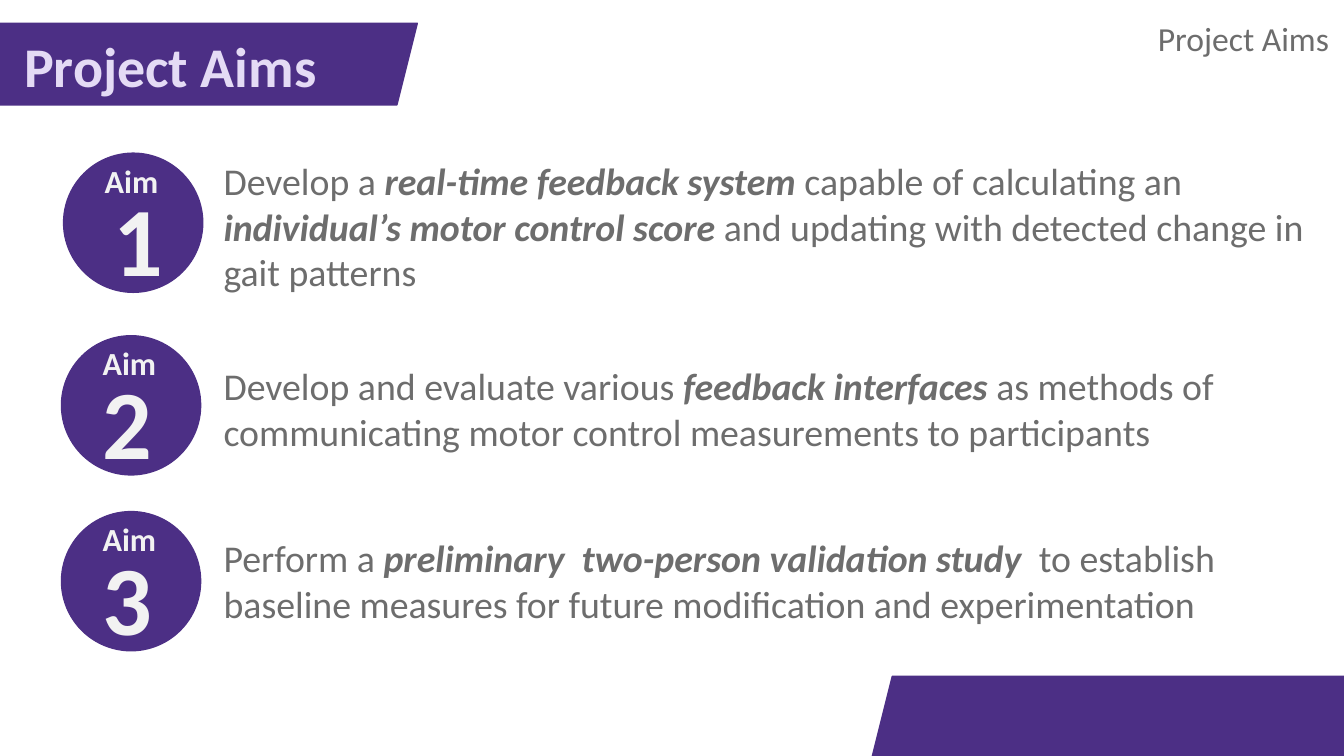
from pptx import Presentation
from pptx.dml.color import RGBColor
from pptx.enum.shapes import MSO_SHAPE
from pptx.enum.text import MSO_ANCHOR, MSO_AUTO_SIZE, PP_ALIGN
from pptx.util import Pt

PURPLE, LILAC, GREY, WHITE = "4C2F85", "E4DBF5", "6D6D6D", "F2F2F2"


def write(sp, text, size, color, bold=False):
    tf = sp.text_frame
    tf.word_wrap = True
    tf.auto_size = MSO_AUTO_SIZE.NONE
    tf.vertical_anchor = MSO_ANCHOR.TOP
    p = tf.paragraphs[0]
    p.alignment = PP_ALIGN.LEFT
    for i, part in enumerate(text.split("*")):
        r = p.add_run()
        r.text = part
        r.font.name = "Calibri"
        r.font.size = Pt(size)
        r.font.bold = bold or i % 2 == 1
        r.font.italic = i % 2 == 1
        r.font.color.rgb = RGBColor.from_string(color)


def solid(shapes, kind, x, y, w, h):
    sp = shapes.add_shape(kind, Pt(x), Pt(y), Pt(w), Pt(h))
    sp.shadow.inherit = False
    sp.fill.solid()
    sp.fill.fore_color.rgb = RGBColor.from_string(PURPLE)
    sp.line.color.rgb = RGBColor.from_string(PURPLE)
    sp.line.width = Pt(1)
    return sp


prs = Presentation()
prs.slide_width, prs.slide_height = Pt(960), Pt(540)
s = prs.slides.add_slide(prs.slide_layouts[5])

title = s.shapes.title
title.left, title.top, title.width, title.height = Pt(10), Pt(18.7), Pt(425.5), Pt(55.5)
write(title, "Project Aims", 40, LILAC, bold=True)
title_bar = solid(s.shapes, MSO_SHAPE.PARALLELOGRAM, -29.5, 16.6, 327.6, 58.3)
title.element.addprevious(title_bar.element)

solid(s.shapes, MSO_SHAPE.PARALLELOGRAM, 622.8, 483.1, 352.8, 58.3)
header = s.shapes.add_textbox(Pt(820), Pt(9.4), Pt(139.7), Pt(36))
write(header, "Project Aims", 24, GREY)

# text top, circle left, circle top, digit left, label left
aims = [
    (109.4, 45.4, 109.4, 74.2, 67.7,
     "Develop a *real-time feedback system *capable of calculating an "
     "*individual’s motor control score *and updating with detected change in gait patterns"),
    (255.6, 43.9, 239.8, 66.2, 66.2,
     "Develop and evaluate various *feedback interfaces* as methods of "
     "communicating motor control measurements to participants"),
    (378.7, 43.9, 365.4, 66.2, 66.2,
     "Perform a *preliminary  two-person validation study*  to establish "
     "baseline measures for future modification and experimentation"),
]
for n, (text_y, x, y, digit_x, label_x, text) in enumerate(aims, 1):
    body = s.shapes.add_textbox(Pt(152.6), Pt(text_y), Pt(807), Pt(72.7))
    write(body, text, 27, GREY)
    badge = s.shapes.add_group_shape().shapes
    solid(badge, MSO_SHAPE.OVAL, x, y, 99.4, 99.4)
    digit = badge.add_textbox(Pt(digit_x), Pt(y + 14.8), Pt(63.4), Pt(92.2))
    write(digit, str(n), 70, WHITE, bold=True)
    label = badge.add_textbox(Pt(label_x), Pt(y + 2), Pt(78.5), Pt(35.3))
    write(label, "Aim", 23, WHITE, bold=True)

prs.save("out.pptx")
